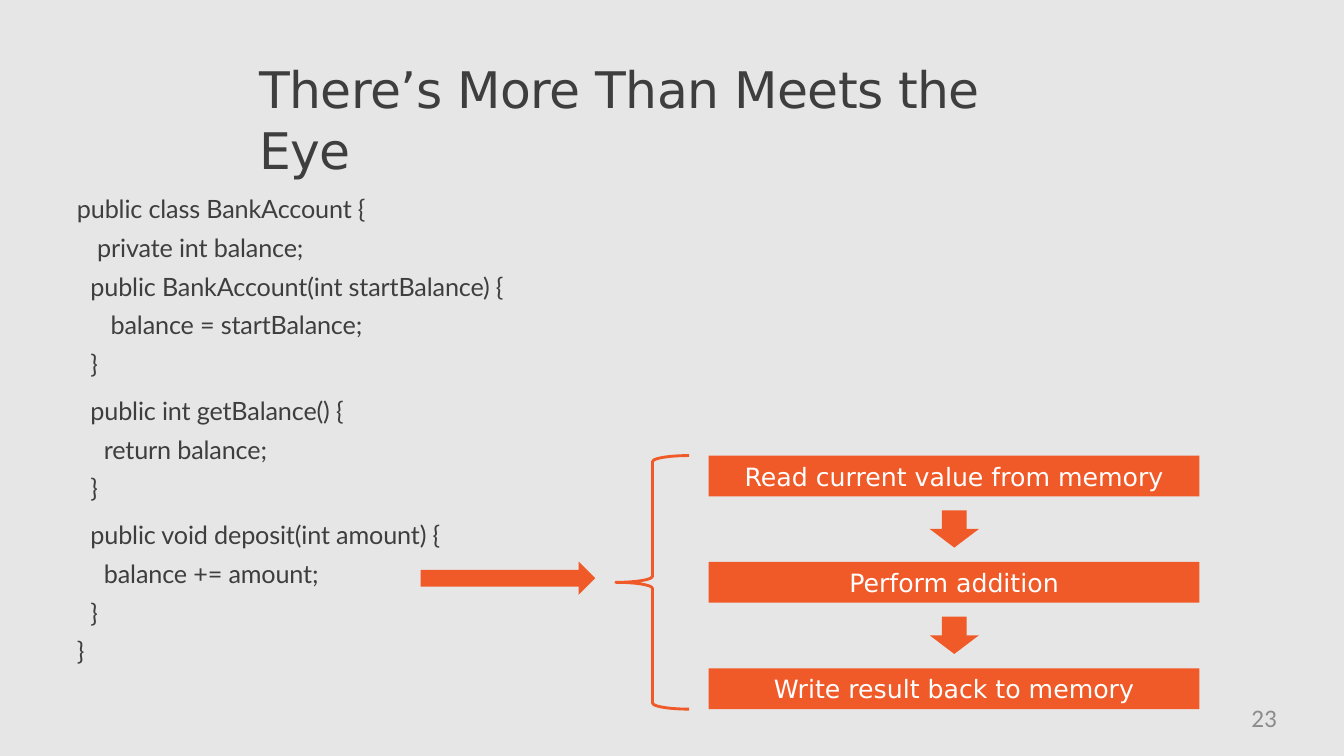
from dataclasses import dataclass

from pptx import Presentation
from pptx.dml.color import RGBColor
from pptx.enum.shapes import MSO_SHAPE
from pptx.enum.text import MSO_ANCHOR, PP_ALIGN
from pptx.util import Cm, Pt


@dataclass(frozen=True)
class Theme:
    """Colours, fonts and type sizes of the slide."""
    back: str = "E6E6E6"
    ink: str = "3E3E3E"
    accent: str = "F05A28"
    light: str = "FFFFFF"
    muted: str = "8C8C8C"
    head: str = "DejaVu Sans"
    code: str = "Lato"
    plain: str = "Calibri"
    title: int = 36
    body: int = 18


THEME = Theme()
SPACE = 0.17
CODE = [
    (0, "public class BankAccount {"),
    (3, "private int balance;"),
    (2, "public BankAccount(int startBalance) {"),
    (5, "balance = startBalance;"),
    (2, "}"),
    (2, "public int getBalance() {"),
    (4, "return balance;"),
    (2, "}"),
    (2, "public void deposit(int amount) {"),
    (4, "balance += amount;"),
    (2, "}"),
    (0, "}"),
]
STEPS = ["Read current value from memory", "Perform addition", "Write result back to memory"]


def tint(fill, color):
    """Make a fill solid in a hex colour."""
    fill.solid()
    fill.fore_color.rgb = RGBColor.from_string(color)


def write(para, text, font=THEME.head, size=THEME.body, color=THEME.ink,
          align=PP_ALIGN.LEFT, track=0, indent=0, before=0, pitch=None):
    """Put formatted text in a paragraph."""
    para.alignment = align
    para.space_before = Pt(before)
    if pitch:
        para.line_spacing = Pt(pitch)
    if indent:
        para._p.get_or_add_pPr().set("marL", str(Cm(indent)))
    run = para.add_run()
    run.text = text
    run.font.name = font
    run.font.size = Pt(size)
    run.font.color.rgb = RGBColor.from_string(color)
    if track:
        run._r.get_or_add_rPr().set("spc", str(round(track * 100)))


def clear(frame):
    """Wrap a text frame and remove its margins."""
    frame.word_wrap = True
    frame.margin_left = frame.margin_right = 0
    frame.margin_top = frame.margin_bottom = 0


def label(slide, left, top, width, height):
    """Add a text box and return its frame."""
    frame = slide.shapes.add_textbox(Cm(left), Cm(top), Cm(width), Cm(height)).text_frame
    clear(frame)
    return frame


def block(slide, kind, left, top, width, height):
    """Add a flat accent shape."""
    shape = slide.shapes.add_shape(kind, Cm(left), Cm(top), Cm(width), Cm(height))
    shape.shadow.inherit = False
    tint(shape.fill, THEME.accent)
    shape.line.fill.background()
    return shape


def listing(slide):
    """Add the class code, one paragraph a line."""
    frame = label(slide, 1.94, 4.67, 12, 12.2)
    for row, (depth, text) in enumerate(CODE):
        para = frame.add_paragraph() if row else frame.paragraphs[0]
        gap = 6 if depth == 2 and row > 2 and text != "}" else 0
        write(para, text, font=THEME.code, track=-0.1, indent=depth * SPACE,
              before=gap, pitch=27.6)


def brace(slide):
    """Add the outlined brace that spans the steps."""
    shape = block(slide, MSO_SHAPE.LEFT_BRACE, 15.52, 11.48, 1.85, 6.39)
    shape.fill.background()
    tint(shape.line.fill, THEME.accent)
    shape.line.width = Pt(2.04)


def steps(slide):
    """Add the step bars with arrows between them."""
    for row, text in enumerate(STEPS):
        top = 11.48 + row * 2.68
        bar = block(slide, MSO_SHAPE.RECTANGLE, 17.86, top, 12.37, 1.03)
        clear(bar.text_frame)
        bar.text_frame.vertical_anchor = MSO_ANCHOR.MIDDLE
        write(bar.text_frame.paragraphs[0], text, color=THEME.light, align=PP_ALIGN.CENTER)
        if row < len(STEPS) - 1:
            block(slide, MSO_SHAPE.DOWN_ARROW, 23.43, top + 1.38, 1.24, 0.94)


def main():
    """Build and save the slide."""
    deck = Presentation()
    deck.slide_width, deck.slide_height = Cm(33.87), Cm(19.05)
    slide = deck.slides.add_slide(deck.slide_layouts[6])
    tint(slide.background.fill, THEME.back)
    title = label(slide, 6.53, 1.47, 20.3, 3.05)
    write(title.paragraphs[0], "There’s More Than Meets the Eye", size=THEME.title, track=-0.4)
    listing(slide)
    steps(slide)
    brace(slide)
    block(slide, MSO_SHAPE.RIGHT_ARROW, 10.6, 14.15, 4.4, 0.84)
    number = label(slide, 24.38, 17.7, 7.8, 0.97)
    write(number.paragraphs[0], "23", font=THEME.plain, color=THEME.muted, align=PP_ALIGN.RIGHT)
    deck.save("out.pptx")


main()
